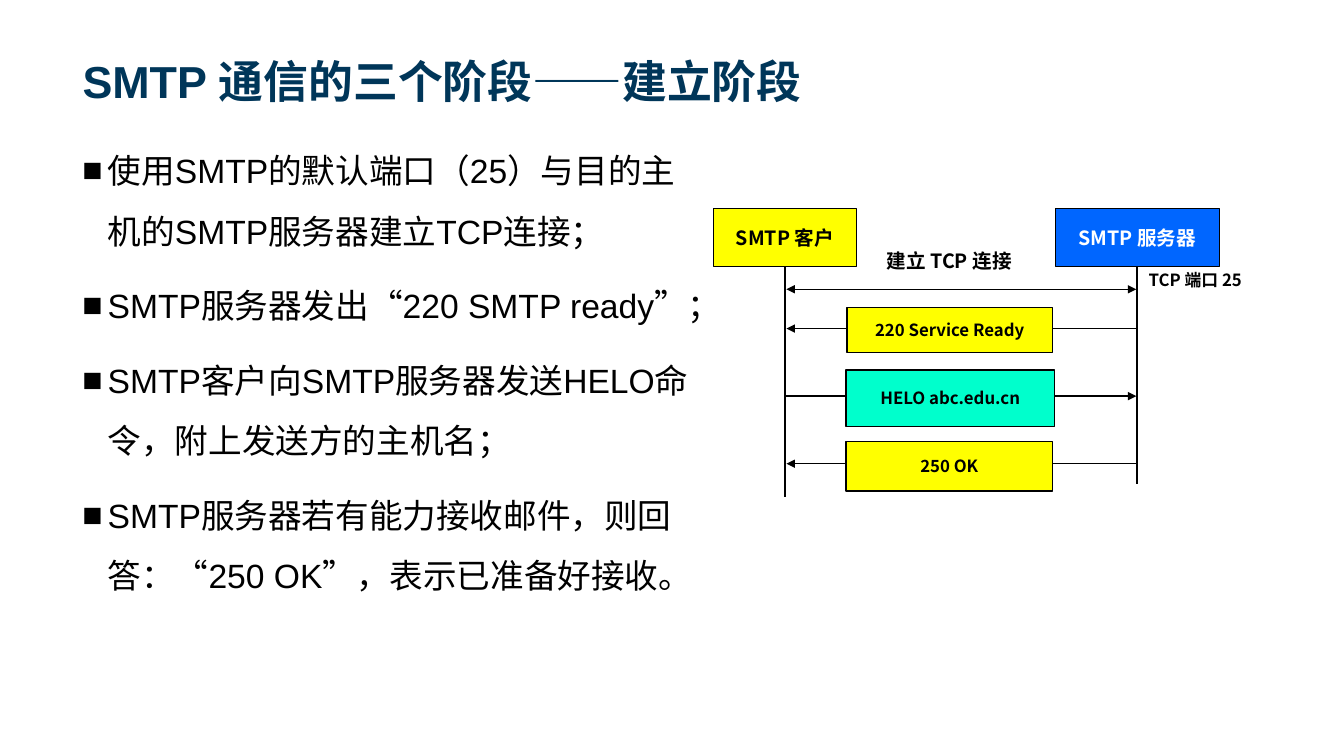
from lxml import etree
from pptx import Presentation
from pptx.dml.color import RGBColor
from pptx.enum.shapes import MSO_CONNECTOR, MSO_SHAPE
from pptx.enum.text import MSO_ANCHOR, PP_ALIGN
from pptx.oxml.ns import qn
from pptx.util import Inches, Pt

RECTANGLE, STRAIGHT = MSO_SHAPE.RECTANGLE, MSO_CONNECTOR.STRAIGHT
TOP, MIDDLE, BOTTOM = MSO_ANCHOR.TOP, MSO_ANCHOR.MIDDLE, MSO_ANCHOR.BOTTOM
LEFT, CENTER = PP_ALIGN.LEFT, PP_ALIGN.CENTER
BOTTOM_SITE = 2

ARIAL, NOTO = "Arial", "Noto Sans CJK SC"
BLACK, WHITE, NAVY = "000000", "FFFFFF", "003659"
YELLOW, BLUE, MINT = "FFFF00", "0066FF", "00FFCC"

TITLE = "SMTP 通信的三个阶段——建立阶段"
STEPS = [
    "使用SMTP的默认端口（25）与目的主机的SMTP服务器建立TCP连接；",
    "SMTP服务器发出“220 SMTP ready”；",
    "SMTP客户向SMTP服务器发送HELO命令，附上发送方的主机名；",
    "SMTP服务器若有能力接收邮件，则回答：“250 OK”，表示已准备好接收。",
]
# name, left, width, fill, text colour, bottom of its lifeline
HOSTS = [
    ("SMTP 客户", 7.08, 1.41, YELLOW, BLACK, 4.93),
    ("SMTP 服务器", 10.47, 1.62, BLUE, WHITE, 4.8),
]
HOST_TOP, HOST_HEIGHT = 2.07, 0.57
# text, left, top, width, height, size
LABELS = [
    ("TCP 端口 25", 11.18, 2.63, 1.35, 0.46, 12),
    ("建立 TCP 连接", 8.55, 2.42, 1.73, 0.51, 14),
]
# arrow height, arrow at client, arrow at server
CONNECTION = (2.87, True, True)
# text, fill, left, top, width, height, arrow height, arrow at client, arrow at server
MESSAGES = [
    ("220 Service Ready", YELLOW, 8.4, 3.05, 2.04, 0.45, 3.26, True, False),
    ("HELO abc.edu.cn", MINT, 8.39, 3.67, 2.07, 0.56, 3.93, False, True),
    ("250 OK", YELLOW, 8.39, 4.38, 2.05, 0.49, 4.6, True, False),
]
ARROW_LEFT, ARROW_RIGHT = 7.8, 11.27


def color(value):
    return RGBColor.from_string(value)


def add_bullet(para):
    """Give the paragraph a hanging square bullet."""
    properties = para._p.get_or_add_pPr()
    properties.set("marL", str(Inches(0.25)))
    properties.set("indent", str(-Inches(0.25)))
    etree.SubElement(properties, qn("a:buFont")).set("typeface", ARIAL)
    etree.SubElement(properties, qn("a:buChar")).set("char", "■")


def write(shape, *texts, size=12, font=NOTO, ink=BLACK, bold=True, align=CENTER,
          anchor=MIDDLE, bullets=False, line_spacing=1.0, space_before=0):
    frame = shape.text_frame
    frame.word_wrap = True
    frame.vertical_anchor = anchor
    for index, text in enumerate(texts):
        para = frame.add_paragraph() if index else frame.paragraphs[0]
        para.alignment = align
        para.line_spacing = line_spacing
        para.space_before = Pt(space_before if index else 0)
        if bullets:
            add_bullet(para)
        span = para.add_run()
        span.text = text
        span.font.size = Pt(size)
        span.font.bold = bold
        span.font.color.rgb = color(ink)
        span.font.name = font
        etree.SubElement(span._r.get_or_add_rPr(), qn("a:ea")).set("typeface", NOTO)


def add_text(page, area, *texts, **style):
    box = page.shapes.add_textbox(*map(Inches, area))
    write(box, *texts, **style)


def add_box(page, area, text, fill, line_width, **style):
    box = page.shapes.add_shape(RECTANGLE, *map(Inches, area))
    box.shadow.inherit = False
    box.fill.solid()
    box.fill.fore_color.rgb = color(fill)
    box.line.color.rgb = color(BLACK)
    box.line.width = Pt(line_width)
    write(box, text, **style)
    return box


def add_line(page, start, end, width, head=False, tail=False):
    line = page.shapes.add_connector(STRAIGHT, *map(Inches, start + end))
    line.line.color.rgb = color(BLACK)
    line.line.width = Pt(width)
    for wanted, tag in ((head, "a:headEnd"), (tail, "a:tailEnd")):
        if wanted:
            etree.SubElement(line.line._get_or_add_ln(), qn(tag)).set("type", "triangle")
    etree.SubElement(line._element.spPr, qn("a:effectLst"))
    return line


def add_arrow(page, height, at_client, at_server):
    add_line(page, (ARROW_LEFT, height), (ARROW_RIGHT, height), 1, at_client, at_server)


def main():
    deck = Presentation()
    deck.slide_width, deck.slide_height = Inches(13.33), Inches(7.5)
    page = deck.slides.add_slide(deck.slide_layouts[6])

    add_text(page, (0.72, 0.14, 11.88, 0.98), TITLE, size=32, font=ARIAL, ink=NAVY,
             align=LEFT, anchor=BOTTOM)
    add_text(page, (0.72, 1.24, 6.36, 5.47), *STEPS, size=24, font=ARIAL, bold=False,
             align=LEFT, anchor=TOP, bullets=True, line_spacing=1.5, space_before=10)

    for name, left, width, fill, ink, life_end in HOSTS:
        host = add_box(page, (left, HOST_TOP, width, HOST_HEIGHT), name, fill, 0.5,
                       size=14, ink=ink)
        center = left + width / 2
        lifeline = add_line(page, (center, HOST_TOP + HOST_HEIGHT), (center, life_end), 1.5)
        lifeline.begin_connect(host, BOTTOM_SITE)

    for text, *area, size in LABELS:
        add_text(page, area, text, size=size, anchor=TOP)

    add_arrow(page, *CONNECTION)
    for text, fill, left, top, width, height, *arrow in MESSAGES:
        add_arrow(page, *arrow)
        add_box(page, (left, top, width, height), text, fill, 1)

    deck.save("out.pptx")


if __name__ == "__main__":
    main()
